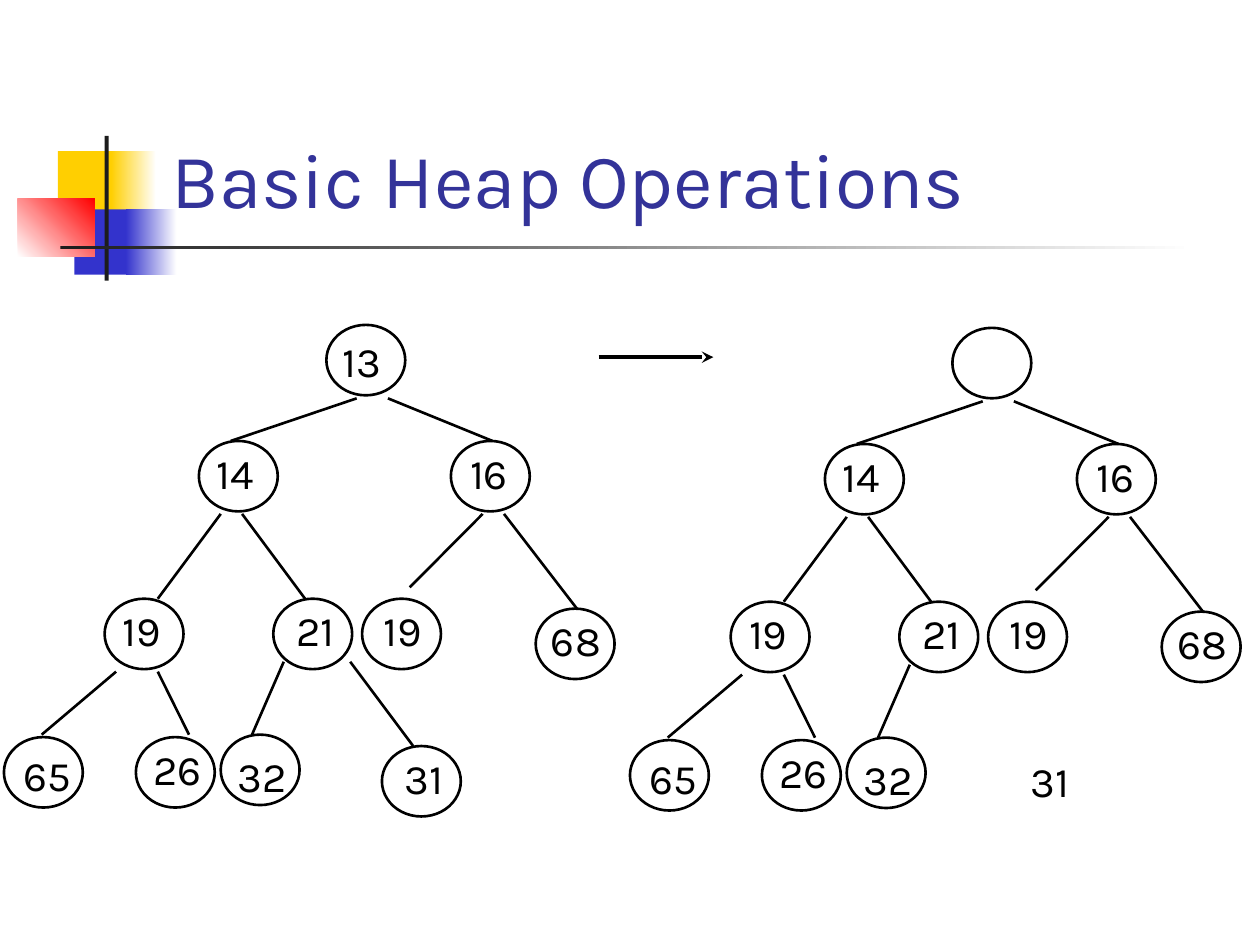
from typing import NamedTuple, Optional

import pptx
import pptx.dml.color
import pptx.enum.shapes
import pptx.enum.text
import pptx.oxml
import pptx.oxml.ns
import pptx.util
from pptx.util import Cm

COLORS = {
    "yellow": "FFCF01",
    "blue": "3333CC",
    "red": "FF0000",
    "dark": "1C1C1C",
    "white": "FFFFFF",
    "title": "333399",
    "ink": "000000",
}
FONT = "Karla"
NODE_WIDTH, NODE_HEIGHT, LABEL_HEIGHT = 1.59, 1.42, 1.27
RIGHT_HEAP = (12.62, 0.06)


class Block(NamedTuple):
    """One bar of the title ornament; lengths in cm."""
    left: float
    top: float
    width: float
    height: float
    color: str
    fade_to: Optional[str] = None
    angle: float = 0


class Node(NamedTuple):
    """A heap key with its circle and label places, in cm."""
    key: str
    left: float
    top: float
    label_left: float
    label_top: float
    label_width: float


class Edge(NamedTuple):
    x1: float
    y1: float
    x2: float
    y2: float


ORNAMENT = [
    Block(1.17, 3.05, 1.22, 1.32, "yellow"),
    Block(2.24, 3.05, 0.91, 1.32, "yellow", "white"),
    Block(1.5, 4.22, 1.17, 1.32, "blue"),
    Block(2.54, 4.22, 1.02, 1.32, "blue", "white"),
    Block(0.36, 4.01, 1.55, 1.17, "white", "red", 45),
    Block(2.11, 2.74, 0.08, 2.92, "dark"),
    Block(1.22, 4.95, 22.86, 0.08, "dark", "white"),
]

ROOT = Node("13", 6.58, 6.55, 6.35, 6.63, 1.91)
INNER_NODES = [
    Node("14", 4.01, 8.89, 3.68, 8.89, 2.11),
    Node("16", 9.09, 8.89, 9.02, 8.89, 1.68),
    Node("19", 2.11, 12.07, 1.91, 12.07, 1.91),
    Node("21", 5.51, 12.07, 5.31, 12.07, 2.11),
    Node("19", 7.3, 12.07, 7.39, 12.07, 1.47),
    Node("68", 10.8, 12.27, 10.44, 12.27, 2.34),
    Node("65", 0.08, 14.86, 0, 14.99, 1.91),
    Node("26", 2.74, 14.86, 2.74, 14.86, 1.68),
    Node("32", 4.45, 14.81, 4.01, 15.01, 2.54),
]
LAST = Node("31", 7.7, 15.04, 7.7, 15.04, 1.7)

EDGES = [
    Edge(7.19, 8.03, 4.65, 8.89),
    Edge(7.82, 8.03, 9.93, 8.89),
    Edge(4.45, 10.36, 3.18, 12.07),
    Edge(4.88, 10.36, 6.15, 12.07),
    Edge(9.73, 10.36, 8.26, 11.84),
    Edge(10.16, 10.36, 11.63, 12.27),
    Edge(2.34, 13.54, 0.84, 14.81),
    Edge(3.18, 13.54, 3.81, 14.81),
    Edge(5.72, 13.34, 5.08, 14.81),
]
LAST_EDGE = Edge(7.06, 13.34, 8.33, 15.04)
STEP_ARROW = Edge(12.07, 7.2, 14.38, 7.2)


def rgb(name: str) -> pptx.dml.color.RGBColor:
    return pptx.dml.color.RGBColor.from_string(COLORS[name])


def set_font(paragraph, size: float, color: str) -> None:
    paragraph.font.name = FONT
    paragraph.font.size = pptx.util.Pt(size)
    paragraph.font.color.rgb = rgb(color)


def draw_block(slide, block: Block) -> None:
    bar = slide.shapes.add_shape(
        pptx.enum.shapes.MSO_SHAPE.RECTANGLE,
        Cm(block.left), Cm(block.top), Cm(block.width), Cm(block.height))
    bar.shadow.inherit = False
    bar.line.fill.background()
    if block.fade_to is None:
        bar.fill.solid()
        bar.fill.fore_color.rgb = rgb(block.color)
        return
    bar.fill.gradient()
    bar.fill.gradient_angle = block.angle
    for stop, color in zip(bar.fill.gradient_stops, (block.color, block.fade_to)):
        stop.color.rgb = rgb(color)


def draw_circle(slide, node: Node, dx: float, dy: float) -> None:
    circle = slide.shapes.add_shape(
        pptx.enum.shapes.MSO_SHAPE.OVAL,
        Cm(node.left + dx), Cm(node.top + dy), Cm(NODE_WIDTH), Cm(NODE_HEIGHT))
    circle.shadow.inherit = False
    circle.fill.background()
    circle.line.color.rgb = rgb("ink")
    circle.line.width = pptx.util.Pt(1.5)


def draw_label(slide, node: Node, dx: float, dy: float) -> None:
    label = slide.shapes.add_textbox(
        Cm(node.label_left + dx), Cm(node.label_top + dy),
        Cm(node.label_width), Cm(LABEL_HEIGHT))
    frame = label.text_frame
    frame.word_wrap = True
    frame.auto_size = pptx.enum.text.MSO_AUTO_SIZE.SHAPE_TO_FIT_TEXT
    paragraph = frame.paragraphs[0]
    paragraph.text = node.key
    paragraph.alignment = pptx.enum.text.PP_ALIGN.CENTER
    set_font(paragraph, 24, "ink")


def draw_edge(slide, edge: Edge, dx: float = 0, dy: float = 0, width: float = 1.5):
    line = slide.shapes.add_connector(
        pptx.enum.shapes.MSO_CONNECTOR.STRAIGHT,
        Cm(edge.x1 + dx), Cm(edge.y1 + dy), Cm(edge.x2 + dx), Cm(edge.y2 + dy))
    line.line.color.rgb = rgb("ink")
    line.line.width = pptx.util.Pt(width)
    line._element.spPr.append(pptx.oxml.parse_xml(
        f"<a:effectLst {pptx.oxml.ns.nsdecls('a')}/>"))
    return line


def draw_heap(slide, circles: list[Node], labels: list[Node], edges: list[Edge],
              dx: float = 0, dy: float = 0) -> None:
    for edge in edges:
        draw_edge(slide, edge, dx, dy)
    for node in labels:
        draw_label(slide, node, dx, dy)
    for node in circles:
        draw_circle(slide, node, dx, dy)


def draw_title(slide) -> None:
    title = slide.shapes.title
    title.left, title.top = Cm(3.2), Cm(0.58)
    title.width, title.height = Cm(21.64), Cm(4.06)
    title.text_frame.text = "Basic Heap Operations"
    title.text_frame.vertical_anchor = pptx.enum.text.MSO_ANCHOR.BOTTOM
    paragraph = title.text_frame.paragraphs[0]
    paragraph.alignment = pptx.enum.text.PP_ALIGN.LEFT
    set_font(paragraph, 44, "title")


def main() -> None:
    deck = pptx.Presentation()
    deck.slide_width, deck.slide_height = Cm(25.4), Cm(19.05)
    slide = deck.slides.add_slide(deck.slide_layouts[5])
    for block in ORNAMENT:
        draw_block(slide, block)
    draw_title(slide)

    full_heap = [ROOT, *INNER_NODES, LAST]
    draw_heap(slide, full_heap, full_heap, [*EDGES, LAST_EDGE])
    draw_heap(slide, [ROOT, *INNER_NODES], [*INNER_NODES, LAST], EDGES, *RIGHT_HEAP)

    arrow = draw_edge(slide, STEP_ARROW, width=2.25)
    arrow.line._get_or_add_ln().append(pptx.oxml.parse_xml(
        f"<a:tailEnd {pptx.oxml.ns.nsdecls('a')} type='stealth'/>"))
    deck.save("out.pptx")


if __name__ == "__main__":
    main()
